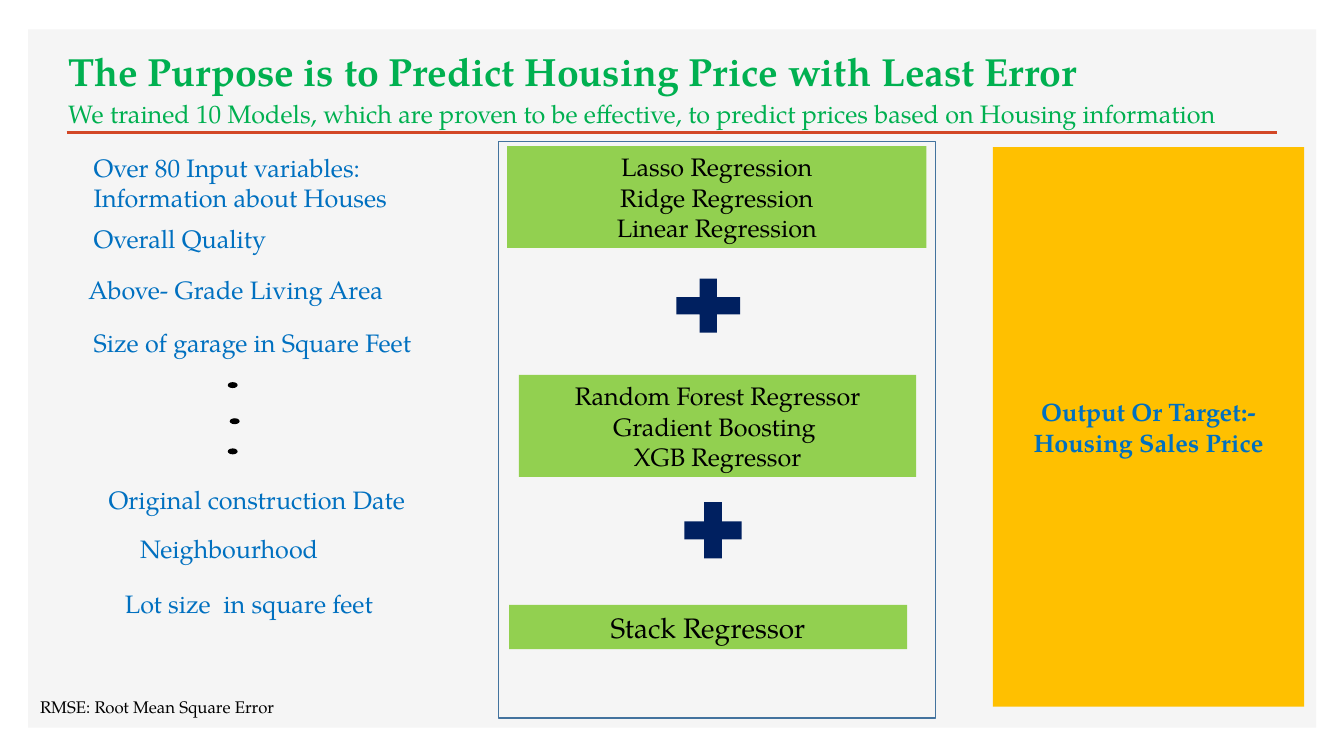
from pptx import Presentation
from pptx.dml.color import RGBColor
from pptx.enum.shapes import MSO_CONNECTOR, MSO_SHAPE
from pptx.enum.text import MSO_ANCHOR, PP_ALIGN
from pptx.oxml.ns import qn
from pptx.util import Cm, Pt
from lxml import etree

RECTANGLE, OVAL, PLUS = MSO_SHAPE.RECTANGLE, MSO_SHAPE.OVAL, MSO_SHAPE.MATH_PLUS
STRAIGHT = MSO_CONNECTOR.STRAIGHT
TOP, MIDDLE, BOTTOM = MSO_ANCHOR.TOP, MSO_ANCHOR.MIDDLE, MSO_ANCHOR.BOTTOM
LEFT, CENTER = PP_ALIGN.LEFT, PP_ALIGN.CENTER

FONT = "TeX Gyre Pagella"
COLORS = {
    "panel": "F5F5F5", "rule": "D24726", "heading": "00B050", "input": "0070C0",
    "black": "000000", "frame": "43739E", "model": "92D050", "plus": "002060",
    "output": "FFC000",
}


def color(name):
    return RGBColor.from_string(COLORS[name])


def write(shape, lines, size, ink, align=LEFT, anchor=TOP, bold=False):
    frame = shape.text_frame
    frame.word_wrap = True
    frame.vertical_anchor = anchor
    for index, line in enumerate(lines):
        para = frame.paragraphs[0] if index == 0 else frame.add_paragraph()
        para.text = line
        para.alignment = align
        para.font.name = FONT
        para.font.size = Pt(size)
        para.font.bold = bold
        para.font.color.rgb = color(ink)


def add_text(page, box, lines, size, ink, **style):
    write(page.shapes.add_textbox(*map(Cm, box)), lines, size, ink, **style)


def add_shape(page, kind, box, fill=None, line=None):
    shape = page.shapes.add_shape(kind, *map(Cm, box))
    shape.shadow.inherit = False
    if fill:
        shape.fill.solid()
        shape.fill.fore_color.rgb = color(fill)
    else:
        shape.fill.background()
    if line:
        shape.line.color.rgb = color(line)
        shape.line.width = Pt(1)
    else:
        shape.line.fill.background()
    return shape


def draw_header(page, box):
    left, top, width, height = box
    add_text(page, (left, top, width, 1.27),
             ["The Purpose is to Predict Housing Price with Least Error"],
             28, "heading", anchor=BOTTOM, bold=True)
    add_text(page, (left, top + 1.12, width, 1.02),
             ["We trained 10 Models, which are proven to be effective, "
              "to predict prices based on Housing information"], 18, "heading")
    # Rule under the heading
    rule = page.shapes.add_connector(
        STRAIGHT, Cm(left + 0.21), Cm(top + height),
        Cm(left + width + 0.1), Cm(top + height))
    rule.line.color.rgb = color("rule")
    rule.line.width = Pt(2)
    etree.SubElement(rule.element.spPr, qn("a:effectLst"))


def draw_inputs(page, box):
    left, top, width, height = box
    # Variables: horizontal offset, vertical offset, alignment, lines
    variables = [
        (1.35, 0, LEFT, ["Over 80 Input variables:", "Information about Houses"]),
        (1.35, 1.8, LEFT, ["Overall Quality"]),
        (1.22, 3.07, LEFT, ["Above- Grade Living Area"]),
        (1.35, 4.42, LEFT, ["Size of garage in Square Feet"]),
        (1.73, 8.36, LEFT, ["Original construction Date"]),
        (0, 9.6, CENTER, ["Neighbourhood"]),
        (2.14, 11, LEFT, ["Lot size  in square feet"]),
    ]
    for across, down, align, lines in variables:
        add_text(page, (left + across, top + down, width, 1.02 * len(lines)),
                 lines, 18, "input", align=align)
    # Dots standing for the remaining variables
    for across, down in [(4.98, 5.92), (5.03, 6.83), (4.98, 7.59)]:
        add_shape(page, OVAL, (left + across, top + down, 0.25, 0.15), "black")
    # Footnote
    add_text(page, (left, top + height - 0.76, width, 0.76),
             ["RMSE: Root Mean Square Error"], 12, "black")


def draw_models(page, box):
    left, top = box[:2]
    add_shape(page, RECTANGLE, box, line="frame")
    # Model groups
    groups = [
        (0.21, 0.12, 10.57, 2.57, 18,
         ["Lasso Regression", "Ridge Regression", "Linear Regression"]),
        (0.51, 5.89, 10.01, 2.57, 18,
         ["Random Forest Regressor", "Gradient Boosting ", "XGB Regressor"]),
        (0.26, 11.68, 10.03, 1.12, 20, ["Stack Regressor"]),
    ]
    for across, down, width, height, size, lines in groups:
        group = add_shape(page, RECTANGLE,
                          (left + across, top + down, width, height), "model")
        write(group, lines, size, "black", align=CENTER, anchor=MIDDLE)
    # Plus signs between the groups
    for across, down, width, height in [(4.19, 3.22, 2.18, 1.85),
                                        (4.42, 8.84, 1.96, 1.93)]:
        add_shape(page, PLUS, (left + across, top + down, width, height), "plus")


def draw_output(page, box):
    target = add_shape(page, RECTANGLE, box, "output")
    write(target, ["Output Or Target:-", "Housing Sales Price"], 18, "input",
          align=CENTER, anchor=MIDDLE, bold=True)


def main():
    deck = Presentation()
    deck.slide_width, deck.slide_height = Cm(33.87), Cm(19.05)
    page = deck.slides.add_slide(deck.slide_layouts[6])
    add_shape(page, RECTANGLE, (0.71, 0.74, 32.46, 17.6), "panel")
    draw_header(page, (1.47, 1.24, 30.61, 2.09))
    draw_inputs(page, (0.76, 3.71, 10.03, 14.47))
    draw_models(page, (12.57, 3.56, 11, 14.53))
    draw_output(page, (25.02, 3.71, 7.85, 14.1))
    deck.save("out.pptx")


if __name__ == "__main__":
    main()
